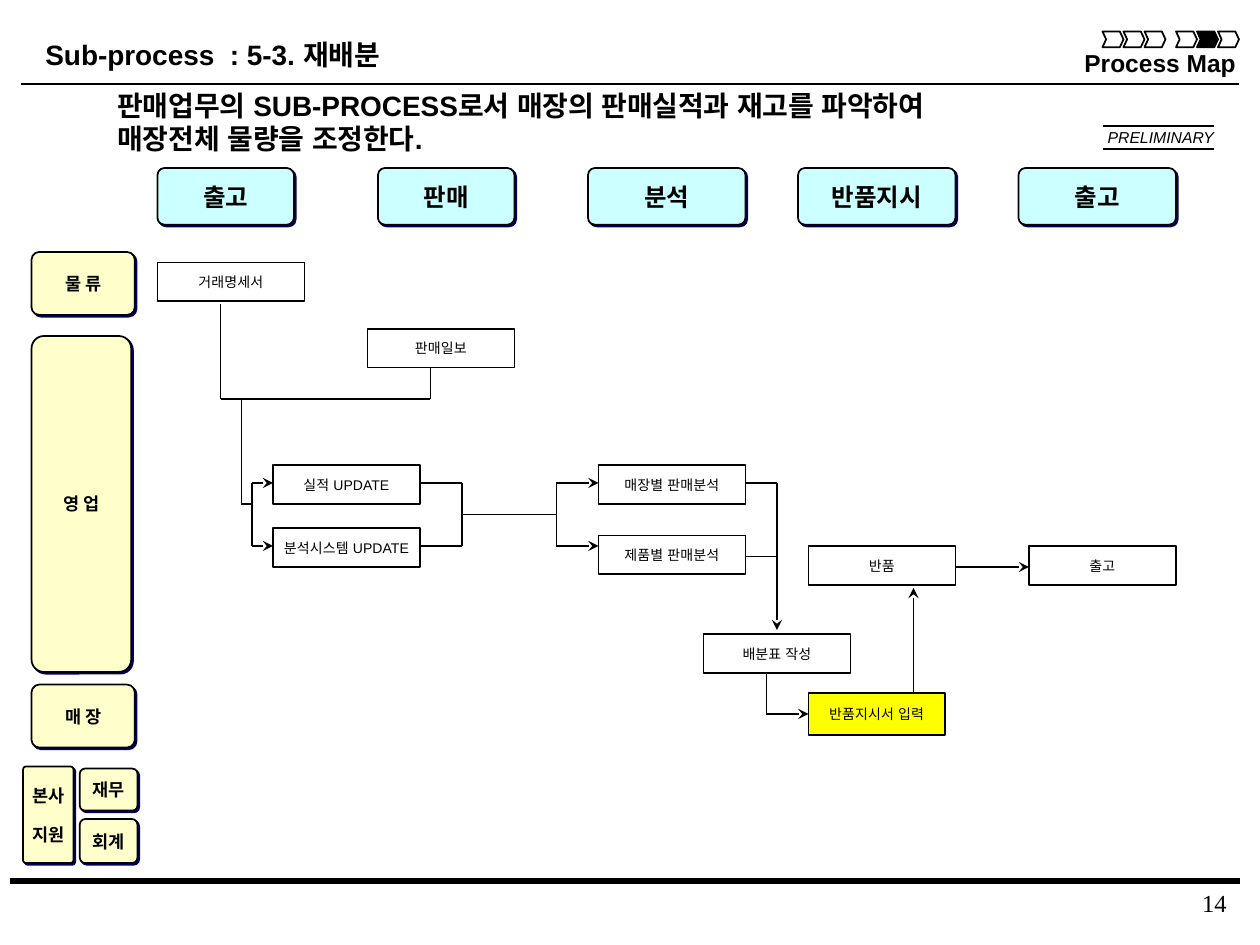
from lxml.etree import SubElement
from pptx import Presentation
from pptx.dml.color import RGBColor
from pptx.enum.shapes import MSO_CONNECTOR as CONN, MSO_SHAPE as SHAPE
from pptx.enum.text import MSO_ANCHOR as ANCHOR, PP_ALIGN as ALIGN
from pptx.oxml.ns import qn
from pptx.util import Inches, Pt

BLACK = RGBColor(0x00, 0x00, 0x00)
WHITE = RGBColor(0xFF, 0xFF, 0xFF)
CYAN = RGBColor(0xCC, 0xFF, 0xFF)
CREAM = RGBColor(0xFF, 0xFF, 0xCC)
YELLOW = RGBColor(0xFF, 0xFF, 0x00)
NAVY = RGBColor(0x00, 0x00, 0x66)
SANS, KOREAN, SERIF = "Arial", "Noto Sans CJK KR", "Times New Roman"
COLS, ROWS = 120, 90


class ProcessMap:
    """Draws process map elements on a grid of 120 columns by 90 rows."""

    def __init__(self, prs):
        self.s = prs.slides.add_slide(prs.slide_layouts[6])
        self.col, self.row = prs.slide_width / COLS, prs.slide_height / ROWS

    def at(self, x, y, *size):
        lengths = (x, y) + size
        units = (self.col, self.row) * 2
        return [round(n * unit) for n, unit in zip(lengths, units)]

    def fill_text(self, sp, lines, size, font=SANS, bold=False, italic=False,
                  align=ALIGN.CENTER, anchor=ANCHOR.MIDDLE, inset=(0.1, 0.05),
                  wrap=False, gap=0):
        tf = sp.text_frame
        tf.word_wrap, tf.vertical_anchor = wrap, anchor
        tf.margin_left = tf.margin_right = Inches(inset[0])
        tf.margin_top = tf.margin_bottom = Inches(inset[1])
        for i, line in enumerate(lines):
            p = tf.add_paragraph() if i else tf.paragraphs[0]
            p.alignment = align
            if i and gap:
                p.space_before = Pt(gap)
            r = p.add_run()
            r.text = line
            r.font.size, r.font.name = Pt(size), font
            r.font.bold, r.font.italic = bold, italic
            r.font.color.rgb = BLACK
            SubElement(r.font._element, qn("a:ea"), typeface=font)

    def text(self, box, lines, size, **style):
        sp = self.s.shapes.add_textbox(*self.at(*box))
        self.fill_text(sp, lines, size, **style)

    def shape(self, kind, box, fill, adj=None):
        sp = self.s.shapes.add_shape(kind, *self.at(*box))
        sp.shadow.inherit = False
        if adj is not None:
            sp.adjustments[0] = adj
        if fill is None:
            sp.fill.background()
        else:
            sp.fill.solid()
            sp.fill.fore_color.rgb = fill
        sp.line.color.rgb, sp.line.width = BLACK, Pt(1)
        return sp

    def label(self, box, lines, size, fill, adj=0.125, gap=0):
        sp = self.shape(SHAPE.ROUNDED_RECTANGLE, box, fill, adj)
        effects = sp._element.spPr.find(qn("a:effectLst"))
        shadow = SubElement(effects, qn("a:outerShdw"), dist=str(Pt(1.4)),
                            dir="2700000", algn="ctr", rotWithShape="0")
        SubElement(shadow, qn("a:srgbClr"), val=str(NAVY))
        self.fill_text(sp, lines, size, font=KOREAN, bold=True, gap=gap)

    def step(self, x, y, name, w=14, h=3.7, fill=WHITE):
        sp = self.shape(SHAPE.RECTANGLE, (x, y, w, h), fill)
        self.fill_text(sp, [name], 8, inset=(0.02, 0.04), wrap=True)

    def line(self, x1, y1, x2, y2, width=1, arrow=False):
        c = self.s.shapes.add_connector(
            CONN.STRAIGHT, *self.at(x1, y1), *self.at(x2, y2))
        c.line.color.rgb, c.line.width = BLACK, Pt(width)
        if arrow:
            SubElement(c.line._get_or_add_ln(), qn("a:tailEnd"), type="stealth")
        SubElement(c._element.spPr, qn("a:effectLst"))


def main():
    prs = Presentation()
    prs.slide_width, prs.slide_height = Inches(10), Inches(7.5)
    m = ProcessMap(prs)

    m.line(2, 8, 118, 8)
    for x in (2, 1):
        m.line(x, 83.9, x + 116.1, 83.9, width=3.75)
    m.text((2.8, 3, 34.9, 4.4), ["Sub-process  : 5-3. 재배분"], 16,
           bold=True, anchor=ANCHOR.TOP)
    m.text((102, 4, 17, 4), ["Process Map"], 14, bold=True, anchor=ANCHOR.TOP)
    m.text((10, 7.8, 110, 7.5),
           ["판매업무의 SUB-PROCESS로서 매장의 판매실적과 재고를 파악하여",
            "매장전체 물량을 조정한다."],
           16, bold=True, align=ALIGN.LEFT, anchor=ANCHOR.TOP, wrap=True)
    m.text((105, 12.1, 10.6, 2), ["PRELIMINARY"], 9, italic=True,
           align=ALIGN.RIGHT, inset=(0, 0), wrap=True)
    for y in (12, 14.2):
        m.line(105, y, 115.6, y)
    m.text((96, 84, 22, 3), ["14"], 14, font=SERIF, align=ALIGN.RIGHT,
           anchor=ANCHOR.TOP, wrap=True)

    active = 114
    for x in (105, 107, 109, 112, active, 116):
        m.shape(SHAPE.CHEVRON, (x, 3, 2, 1.5),
                BLACK if x == active else None, adj=0.23)

    for x, w, name in ((15, 13, "출고"), (36, 13, "판매"), (56, 15, "분석"),
                       (76, 15, "반품지시"), (97, 15, "출고")):
        m.label((x, 16, w, 5.4), [name], 14, CYAN)

    for box, name in (((3, 24, 9.84, 6), "물 류"), ((3, 32, 9.5, 32), "영 업"),
                      ((3, 65.2, 9.84, 6), "매 장"),
                      ((7.6, 73.2, 5.5, 4), "재무"),
                      ((7.6, 78, 5.5, 4.2), "회계")):
        m.label(box, [name], 10, CREAM)
    m.label((2.2, 73, 4.8, 9.2), ["본사", "지원"], 10, CREAM, adj=0.06, gap=10)

    for x, y, name in ((15, 25, "거래명세서"), (35, 31.3, "판매일보"),
                       (26, 44.3, "실적 UPDATE"),
                       (26, 50.3, "분석시스템 UPDATE"),
                       (57, 44.3, "매장별 판매분석"),
                       (57, 51, "제품별 판매분석"),
                       (67, 60.4, "배분표 작성"), (77, 52, "반품"),
                       (98, 52, "출고")):
        m.step(x, y, name)
    m.step(77, 66, "반품지시서 입력", w=13, h=4, fill=YELLOW)

    for ends in ((21, 38, 41, 38), (21, 38, 21, 29), (41, 38, 41, 35),
                 (23, 38, 23, 48), (23, 48, 24, 48), (24, 46, 24, 52),
                 (44, 46, 44, 52), (44, 46, 40, 46), (44, 52, 40, 52),
                 (44, 49, 53, 49), (53, 46, 53, 52), (74, 46, 71, 46),
                 (71, 53, 74, 53), (73, 68, 73, 64)):
        m.line(*ends)
    for ends in ((24, 46, 26, 46), (24, 52, 26, 52), (53, 46, 57, 46),
                 (53, 52, 57, 52), (74, 46, 74, 60), (73, 68, 77, 68),
                 (87, 66, 87, 56), (91, 54, 98, 54)):
        m.line(*ends, arrow=True)

    prs.save("out.pptx")


if __name__ == "__main__":
    main()
